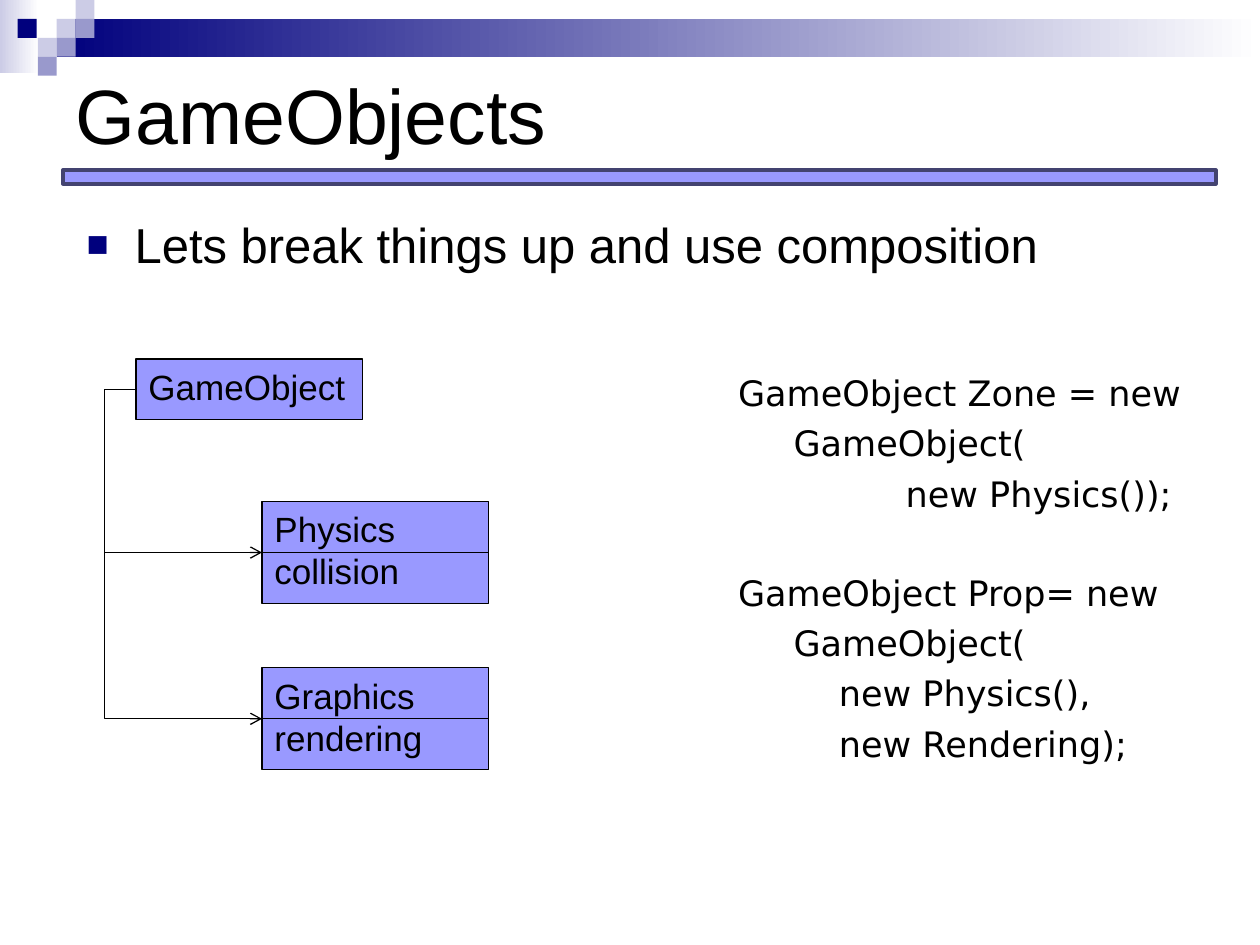
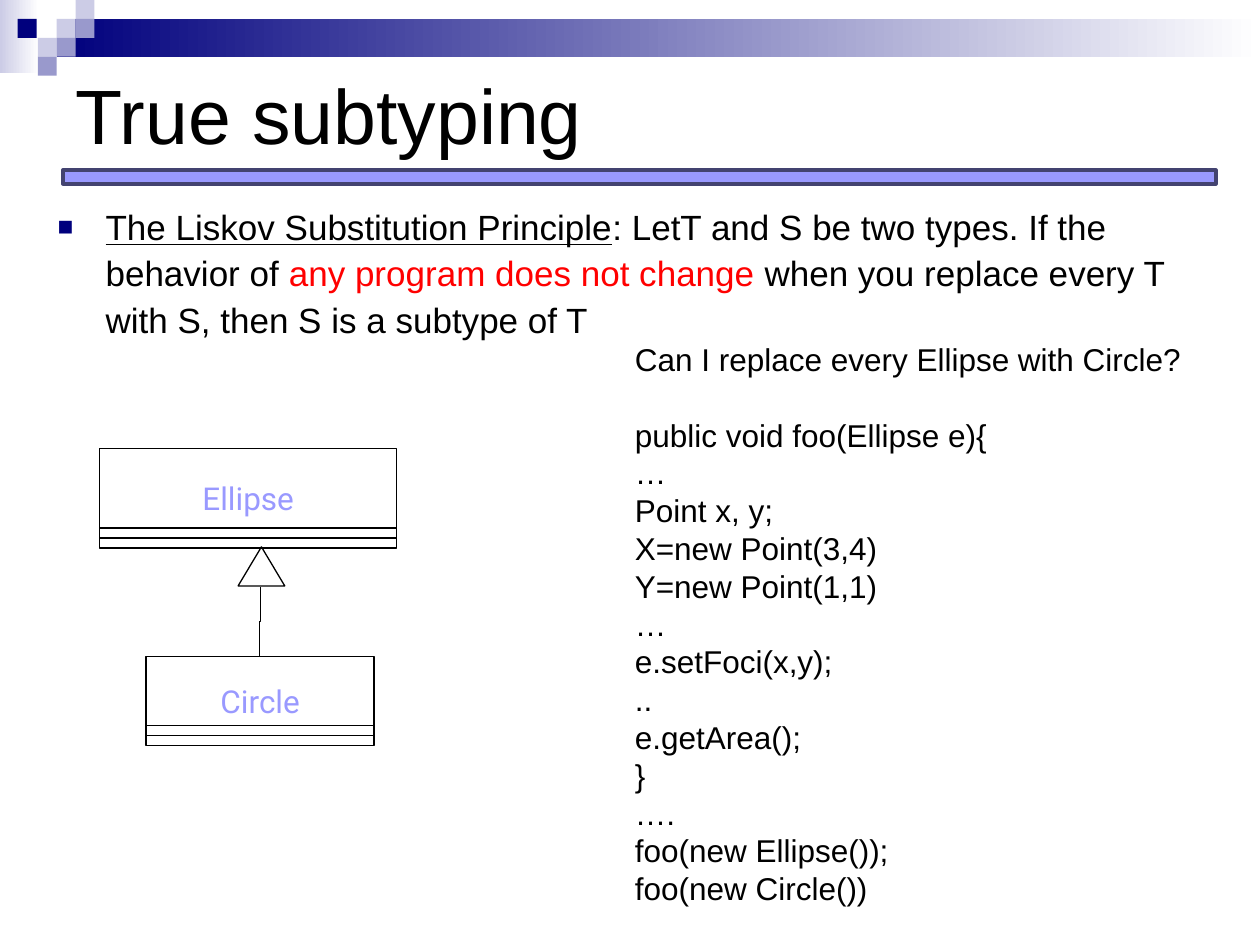
"""Build two lecture slides on composition and subtyping."""
from dataclasses import dataclass

from lxml import etree
from pptx import Presentation, util as u
from pptx.dml.color import RGBColor
from pptx.enum import shapes, text
from pptx.oxml.ns import qn


@dataclass(frozen=True)
class Theme:
    ink: str = "000000"
    paper: str = "FFFFFF"
    navy: str = "00007D"
    pale: str = "CCCCE6"
    dusk: str = "9999CC"
    accent: str = "9999FF"
    edge: str = "434370"
    alert: str = "FF0000"
    sans: str = "Arial"
    code: str = "DejaVu Sans"
    label: str = "Roboto"
    title_size: int = 44
    lead_size: int = 28
    body_size: int = 20
    small_size: int = 18
    thin: float = 0.75


def apply(target, values):
    for name, value in values.items():
        setattr(target, name, value)


def inches(*lengths):
    return [u.Inches(length) for length in lengths]


class Slides:
    def __init__(self, theme):
        self.theme = theme
        self.deck = Presentation()
        apply(self.deck, {"slide_width": u.Inches(10), "slide_height": u.Inches(7.5)})
        self.page = None

    def start(self, title):
        t = self.theme
        self.page = self.deck.slides.add_slide(self.deck.slide_layouts[5])
        self.box((0, 0, 0.31, 0.58), (t.pale, t.paper), None)
        self.box((0.45, 0.15, 9.55, 0.3), (t.navy, t.paper), None)
        tiles = [(0.45, 0.15, t.pale), (0.6, 0, t.pale), (0.6, 0.15, t.dusk),
                 (0.3, 0.3, t.pale), (0.14, 0.15, t.navy), (0.45, 0.3, t.dusk),
                 (0.3, 0.45, t.dusk)]
        for left, top, colour in tiles:
            self.box((left, top, 0.15, 0.15), colour, None)
        self.box((0.5, 1.35, 9.15, 0.11), t.accent, t.edge, 2)
        heading = self.page.shapes.title
        apply(heading, dict(zip(("left", "top", "width", "height"), inches(0.5, 0.15, 9, 1.5))))
        self.page.shapes.element.append(heading.element)
        self.set_text(heading, [title], t.title_size, anchor="MIDDLE")

    def box(self, at, fill=None, line=Theme.ink, width=Theme.thin, kind="RECTANGLE"):
        box = self.page.shapes.add_shape(shapes.MSO_SHAPE[kind], *inches(*at))
        box.shadow.inherit = False
        if fill is None:
            box.fill.background()
        elif isinstance(fill, tuple):
            box.fill.gradient()
            box.fill.gradient_angle = 0
            for stop, colour in zip(box.fill.gradient_stops, fill):
                stop.color.rgb = RGBColor.from_string(colour)
        else:
            box.fill.solid()
            box.fill.fore_color.rgb = RGBColor.from_string(fill)
        if line is None:
            box.line.fill.background()
        else:
            box.line.color.rgb = RGBColor.from_string(line)
            box.line.width = u.Pt(width)
        return box

    def set_text(self, box, paras, size, font=Theme.sans, colour=Theme.ink, anchor="TOP",
                 align="LEFT", wrap=True, fit="NONE"):
        frame = box.text_frame
        apply(frame, {"word_wrap": wrap, "auto_size": text.MSO_AUTO_SIZE[fit],
                      "vertical_anchor": text.MSO_ANCHOR[anchor]})
        for index, content in enumerate(paras):
            para = frame.add_paragraph() if index else frame.paragraphs[0]
            para.alignment = text.PP_ALIGN[align]
            for part in [content] if isinstance(content, str) else content:
                words, look = (part, {}) if isinstance(part, str) else part
                span = para.add_run()
                span.text = words
                span.font.color.rgb = RGBColor.from_string(look.get("colour", colour))
                apply(span.font, {"name": font, "size": u.Pt(size),
                                  "underline": look.get("underline", False)})
        return frame.paragraphs

    def text_box(self, at, paras, size, **look):
        return self.set_text(self.page.shapes.add_textbox(*inches(*at)), paras, size, **look)

    def bullet(self, at, content, size, spacing=1.0):
        para = self.text_box(at, [content], size)[0]
        para.line_spacing = spacing
        props = para._p.get_or_add_pPr()
        props.set("marL", str(u.Inches(0.38)))
        props.set("indent", str(-u.Inches(0.38)))
        colour = etree.SubElement(props, qn("a:buClr"))
        etree.SubElement(colour, qn("a:srgbClr"), val=self.theme.navy)
        etree.SubElement(props, qn("a:buSzPct"), val="75000")
        etree.SubElement(props, qn("a:buFont"), typeface=self.theme.sans)
        etree.SubElement(props, qn("a:buChar"), char="■")

    def line(self, start=(0, 0), end=(0, 0), joins=None, bend=None, turn=0, arrow=False):
        kind = shapes.MSO_CONNECTOR.STRAIGHT if bend is None else shapes.MSO_CONNECTOR.ELBOW
        line = self.page.shapes.add_connector(kind, *inches(*start, *end))
        if joins:
            line.begin_connect(*joins[0])
            line.end_connect(*joins[1])
        props = line.element.spPr
        if bend is not None:
            guides = props.find(qn("a:prstGeom")).find(qn("a:avLst"))
            etree.SubElement(guides, qn("a:gd"), name="adj1", fmla=f"val {round(bend * 100000)}")
        if turn:
            props.find(qn("a:xfrm")).set("rot", str(turn * 60000))
        line.line.color.rgb = RGBColor.from_string(self.theme.ink)
        line.line.width = u.Pt(self.theme.thin)
        if arrow:
            etree.SubElement(props.find(qn("a:ln")), qn("a:tailEnd"), type="arrow")
        etree.SubElement(props, qn("a:effectLst"))

    def component(self, at, *names):
        box = self.box(at, self.theme.accent)
        self.set_text(box, names, self.theme.body_size)
        return box

    def class_box(self, at, name, rules):
        left, _, width, _ = at
        self.set_text(self.box(at), [name], self.theme.small_size, font=self.theme.label,
                      colour=self.theme.accent, anchor="MIDDLE", align="CENTER", wrap=False)
        for height in rules:
            self.line((left, height), (left + width, height))


def composition(slides):
    theme = slides.theme
    slides.start("GameObjects")
    slides.bullet((0.59, 1.65, 9, 0.81), "Lets break things up and use composition", theme.lead_size)
    owner = slides.component((1.08, 2.85, 1.8, 0.48), "GameObject")
    for top, names in [(3.98, ("Physics", "collision")), (5.3, ("Graphics", "rendering"))]:
        part = slides.component((2.08, top, 1.8, 0.81), *names)
        slides.line(joins=((part, 1), (part, 3)))
        slides.line(joins=((owner, 1), (part, 1)), bend=-0.25, arrow=True)
    code = [(0, "GameObject Zone = new"), (0.44, "GameObject("), (1.33, "new Physics());"),
            (0, "GameObject Prop= new"), (0.44, "GameObject("), (0.8, "new Physics(),"),
            (0.8, "new Rendering);")]
    paras = slides.text_box((5.76, 2.9, 3.94, 3.58), [words for _, words in code],
                            theme.body_size, font=theme.code)
    for index, (para, (indent, _)) in enumerate(zip(paras, code)):
        para.space_before = u.Pt(32.7 if index == 3 else 4.7)
        para._p.get_or_add_pPr().set("marL", str(u.Inches(indent)))


def subtyping(slides):
    theme = slides.theme
    slides.start("True subtyping")
    principle = [("The Liskov Substitution Principle", {"underline": True}),
                 ": LetT and S be two types. If the behavior of ",
                 ("any program does not change ", {"colour": theme.alert}),
                 "when you replace every T with S, then S is a subtype of T"]
    slides.bullet((0.36, 1.55, 9, 1.34), principle, theme.body_size, 1.1)
    slides.class_box((0.79, 3.56, 2.36, 0.79), "Ellipse", (4.19, 4.27))
    slides.class_box((1.16, 5.21, 1.81, 0.71), "Circle", (5.76, 5.84))
    slides.box((1.89, 4.34, 0.37, 0.31), kind="ISOSCELES_TRIANGLE")
    slides.line((1.79, 4.93), (2.34, 4.94), bend=0.5, turn=90)
    code = ["Can I replace every Ellipse with Circle?", "public void foo(Ellipse e){", "…",
            "Point x, y;", "X=new Point(3,4)", "Y=new Point(1,1)", "…", "e.setFoci(x,y);",
            "..", "e.getArea();", "}", "….", "foo(new Ellipse());", "foo(new Circle())"]
    paras = slides.text_box((4.94, 2.65, 4.58, 4.64), code, theme.small_size, wrap=False,
                            fit="SHAPE_TO_FIT_TEXT")
    paras[1].space_before = u.Pt(21.6)


def main():
    slides = Slides(Theme())
    composition(slides)
    subtyping(slides)
    slides.deck.save("out.pptx")


if __name__ == "__main__":
    main()
